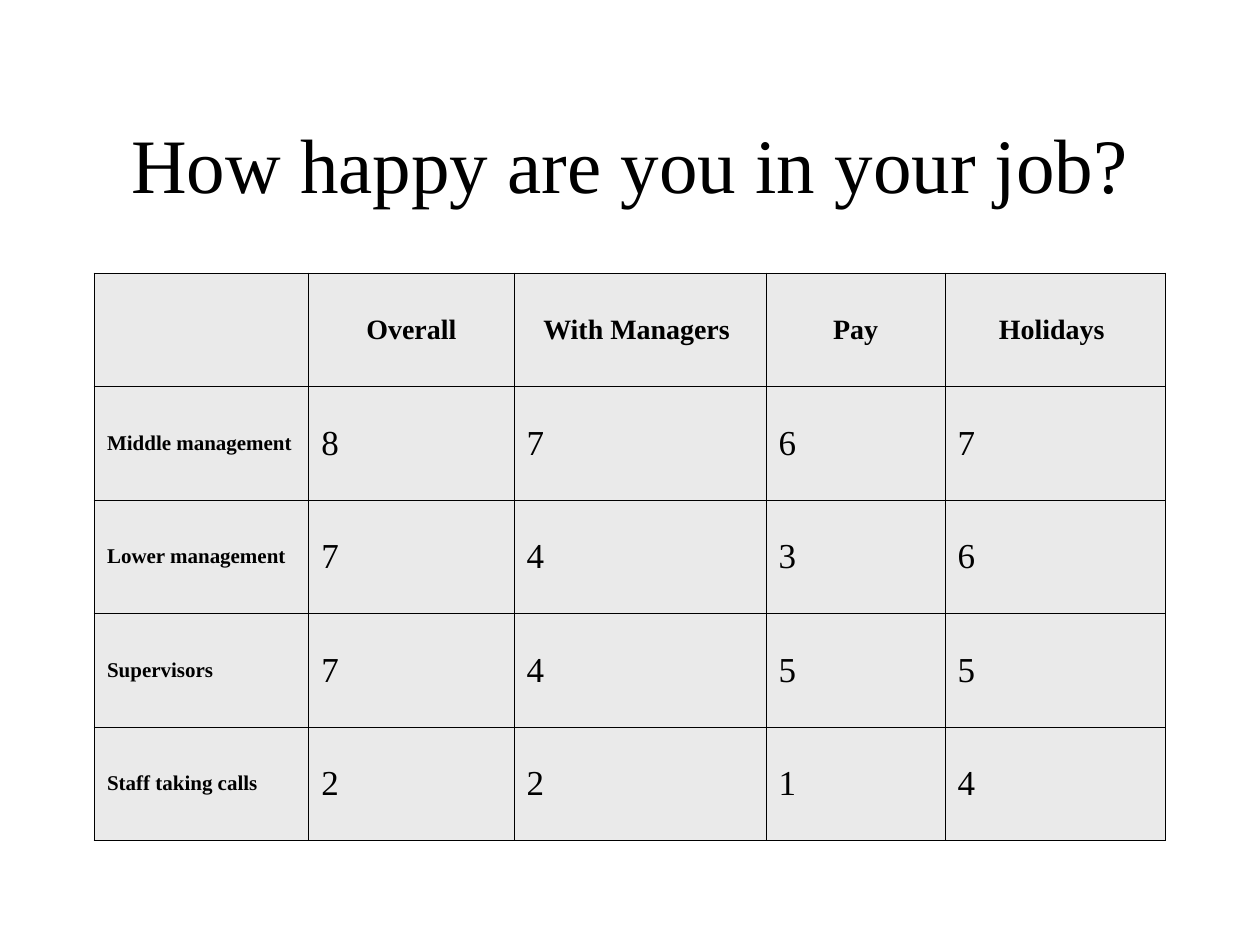
from dataclasses import dataclass

from pptx import Presentation
from pptx import util as u
from pptx.dml.color import RGBColor
from pptx.enum import text
from pptx.oxml.ns import qn
from lxml import etree

PX = 9144  # EMU per px, 100 px to the inch
FONT = "Times New Roman"
BLACK, GREY = "000000", "EAEAEA"
OUTER, INNER = 1.08, 0.45  # border widths in points


@dataclass(frozen=True)
class TextStyle:
    size: int
    bold: bool
    align: text.PP_ALIGN


TITLE = TextStyle(44, False, text.PP_ALIGN.CENTER)
HEADING = TextStyle(16, True, text.PP_ALIGN.CENTER)
GROUP = TextStyle(12, True, text.PP_ALIGN.LEFT)
SCORE = TextStyle(20, False, text.PP_ALIGN.LEFT)

COLUMN_WIDTHS = [170, 163, 200, 142, 175]
ROW_HEIGHT = 90
ROWS = [
    ["", "Overall", "With Managers ", "Pay", "Holidays "],
    ["Middle management", "8", "7", "6", "7"],
    ["Lower management", "7", "4", "3", "6"],
    ["Supervisors", "7", "4", "5", "5"],
    ["Staff taking calls", "2", "2", "1", "4"],
]


def px(length: int) -> u.Emu:
    return u.Emu(length * PX)


def colour(code: str) -> RGBColor:
    return RGBColor.from_string(code)


def add_text(frame, words: str, style: TextStyle) -> None:
    para = frame.paragraphs[0]
    para.alignment = style.align
    span = para.add_run()
    span.text = words
    span.font.name = FONT
    span.font.size = u.Pt(style.size)
    span.font.bold = style.bold
    span.font.color.rgb = colour(BLACK)


def add_border(cell, side: str, width: float) -> None:
    properties = cell._tc.get_or_add_tcPr()
    line = etree.SubElement(properties, qn(f"a:ln{side}"), w=str(u.Pt(width)))
    fill = etree.SubElement(line, qn("a:solidFill"))
    etree.SubElement(fill, qn("a:srgbClr"), val=BLACK)


def format_cell(cell, row: int, column: int) -> None:
    on_edge = {
        "L": column == 0,
        "R": column == len(COLUMN_WIDTHS) - 1,
        "T": row == 0,
        "B": row == len(ROWS) - 1,
    }
    for side, outer in on_edge.items():
        add_border(cell, side, OUTER if outer else INNER)
    cell.fill.solid()
    cell.fill.fore_color.rgb = colour(GREY)
    cell.vertical_anchor = text.MSO_ANCHOR.MIDDLE


def add_title(page, words: str) -> None:
    box = page.shapes.title
    box.left, box.top, box.width, box.height = map(px, (75, 67, 850, 125))
    box.text_frame.auto_size = text.MSO_AUTO_SIZE.NONE
    box.text_frame.vertical_anchor = text.MSO_ANCHOR.MIDDLE
    add_text(box.text_frame, words, TITLE)


def add_score_table(page, left: int, top: int) -> None:
    table = page.shapes.add_table(
        len(ROWS), len(COLUMN_WIDTHS), px(left), px(top),
        px(sum(COLUMN_WIDTHS)), px(ROW_HEIGHT * len(ROWS)),
    ).table
    table.first_row = table.horz_banding = False
    for column, width in zip(table.columns, COLUMN_WIDTHS):
        column.width = px(width)
    for r, values in enumerate(ROWS):
        table.rows[r].height = px(ROW_HEIGHT)
        for c, words in enumerate(values):
            cell = table.cell(r, c)
            format_cell(cell, r, c)
            if words:
                style = HEADING if r == 0 else GROUP if c == 0 else SCORE
                add_text(cell.text_frame, words, style)


def main() -> None:
    deck = Presentation()
    deck.slide_width, deck.slide_height = px(1000), px(750)
    page = deck.slides.add_slide(deck.slide_layouts[5])  # title only

    # Question above the scores
    add_title(page, "How happy are you in your job?")
    add_score_table(page, 75, 217)

    deck.save("out.pptx")


if __name__ == "__main__":
    main()
